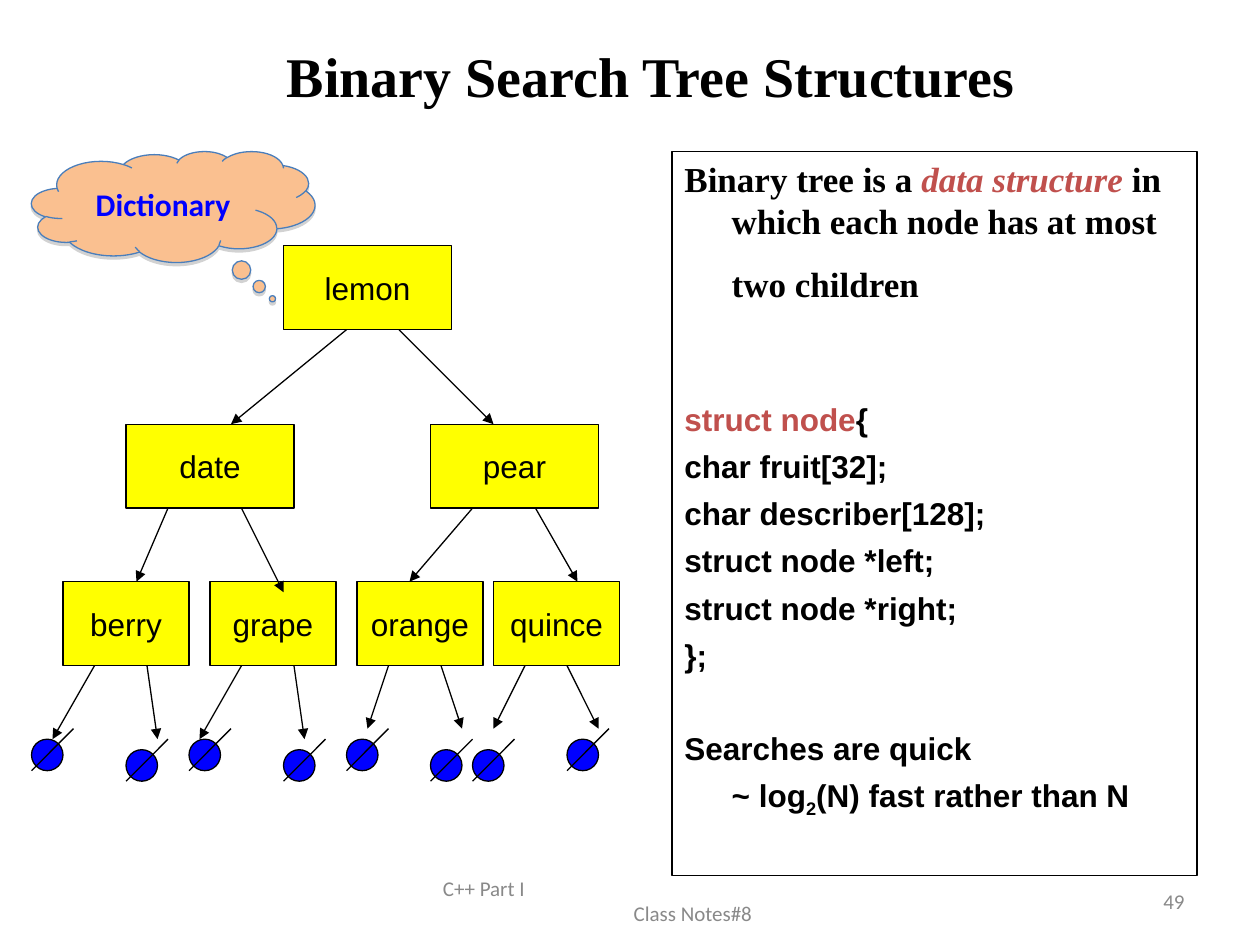
from dataclasses import dataclass
from typing import NamedTuple

from pptx import Presentation
from pptx import util as u
from pptx.dml.color import RGBColor
from pptx.enum import shapes, text
from pptx.oxml import parse_xml
from pptx.oxml.ns import nsdecls, qn

Pt = u.Pt


@dataclass(frozen=True)
class Theme:
    serif: str = "Times New Roman"
    sans: str = "Arial"
    ui: str = "Calibri"
    ink: str = "000000"
    accent: str = "C0504D"
    node: str = "FFFF00"
    blue: str = "0000FF"
    cloud: str = "FAC090"
    cloud_line: str = "4A7EBB"
    muted: str = "898989"
    title: float = 32
    intro: float = 20
    body: float = 18
    small: float = 12
    stroke: float = 0.75


T = Theme()


class Run(NamedTuple):
    words: str
    size: float = T.body
    font: str = T.sans
    color: str = T.ink
    bold: bool = False
    italic: bool = False
    subscript: bool = False


class Node(NamedTuple):
    label: str
    left: float
    top: float
    width: float


class Arrow(NamedTuple):
    x1: float
    y1: float
    x2: float
    y2: float


# Tree levels
NODE_H = 48
ROOT_Y, CHILD_Y, GRAND_Y = 140.4, 242.4, 332.4
LEAF_Y = 422.4
ROOT_END, CHILD_END, GRAND_END = (y + NODE_H for y in (ROOT_Y, CHILD_Y, GRAND_Y))

NODES = [
    Node("lemon", 162, ROOT_Y, 96),
    Node("date", 72, CHILD_Y, 96),
    Node("pear", 246, CHILD_Y, 96),
    Node("berry", 36, GRAND_Y, 72),
    Node("grape", 120, GRAND_Y, 72),
    Node("orange", 204, GRAND_Y, 72),
    Node("quince", 282, GRAND_Y, 72),
]
ARROWS = [
    Arrow(198, ROOT_END, 132, CHILD_Y),
    Arrow(228, ROOT_END, 282, CHILD_Y),
    Arrow(96, CHILD_END, 78, GRAND_Y),
    Arrow(138, CHILD_END, 162, GRAND_Y + 6),
    Arrow(270, CHILD_END, 234, GRAND_Y),
    Arrow(306, CHILD_END, 330, GRAND_Y),
    Arrow(54, GRAND_END, 30, LEAF_Y),
    Arrow(84, GRAND_END, 90, LEAF_Y),
    Arrow(138, GRAND_END, 114, LEAF_Y),
    Arrow(168, GRAND_END, 174, LEAF_Y),
    Arrow(222, GRAND_END, 210, LEAF_Y - 6),
    Arrow(252, GRAND_END, 264, LEAF_Y - 6),
    Arrow(300, GRAND_END, 282, LEAF_Y - 6),
    Arrow(324, GRAND_END, 342, LEAF_Y - 6),
]
# Null pointers: left edge and drop below the leaf line
NULLS = [(18, 0), (72, 6), (108, 0), (162, 6), (198, 0), (246, 6), (270, 6), (324, 0)]


def rgb(code: str) -> RGBColor:
    return RGBColor.from_string(code)


def add_runs(paragraph, *runs: Run) -> None:
    for item in runs:
        run = paragraph.add_run()
        run.text = item.words
        font = run.font
        font.size, font.name = Pt(item.size), item.font
        font.bold, font.italic = item.bold, item.italic
        font.color.rgb = rgb(item.color)
        if item.subscript:
            run._r.get_or_add_rPr().set("baseline", "-25000")


def indent(paragraph, left: float, first: float = 0) -> None:
    props = paragraph._p.get_or_add_pPr()
    props.set("marL", str(Pt(left)))
    props.set("indent", str(Pt(first)))


def add_box(slide, kind, left: float, top: float, width: float, height: float,
            fill: str | None = None, line: str = T.ink):
    box = slide.shapes.add_shape(kind, Pt(left), Pt(top), Pt(width), Pt(height))
    box.shadow.inherit = False
    if fill:
        box.fill.solid()
        box.fill.fore_color.rgb = rgb(fill)
    else:
        box.fill.background()
    box.line.color.rgb = rgb(line)
    box.line.width = Pt(T.stroke)
    return box


def add_label(box, run: Run, wrap: bool) -> None:
    frame = box.text_frame
    frame.word_wrap = wrap
    frame.vertical_anchor = text.MSO_ANCHOR.MIDDLE
    frame.paragraphs[0].alignment = text.PP_ALIGN.CENTER
    add_runs(frame.paragraphs[0], run)


def add_line(slide, ends: Arrow, head: bool = True) -> None:
    line = slide.shapes.add_connector(
        shapes.MSO_CONNECTOR.STRAIGHT, *(Pt(v) for v in ends))
    line.line.color.rgb = rgb(T.ink)
    line.line.width = Pt(T.stroke)
    if head:
        line.line._get_or_add_ln().append(
            parse_xml(f'<a:tailEnd {nsdecls("a")} type="triangle"/>'))
    line._element.spPr.append(parse_xml(f'<a:effectLst {nsdecls("a")}/>'))


def add_null(slide, left: float, top: float) -> None:
    add_box(slide, shapes.MSO_SHAPE.OVAL, left, top, 18, 18, T.blue)
    add_line(slide, Arrow(left + 24, top - 6, left, top + 18), head=False)


def add_title(slide) -> None:
    title = slide.shapes.title
    title.left, title.top, title.width, title.height = Pt(66), Pt(20), Pt(612), Pt(54)
    title.text_frame.vertical_anchor = text.MSO_ANCHOR.TOP
    add_runs(title.text_frame.paragraphs[0],
             Run("Binary Search Tree Structures", T.title, T.serif, bold=True))


def add_explanation(slide) -> None:
    panel = add_box(slide, shapes.MSO_SHAPE.RECTANGLE, 384, 86.4, 300, 414)
    frame = panel.text_frame
    frame.word_wrap = True
    frame.vertical_anchor = text.MSO_ANCHOR.TOP
    intro = Run("Binary tree is a ", T.intro, T.serif, bold=True)
    code = Run("", bold=True)
    hanging, gap = -27, 5.4
    # Each paragraph: space before, first-line indent, runs
    paragraphs = [
        (0, hanging, [intro,
                      intro._replace(words="data structure", color=T.accent, italic=True),
                      intro._replace(words=" in which each node has at most two children"),
                      Run(" ", T.title, T.serif)]),
        (52, hanging, [code._replace(words="struct node", color=T.accent),
                       code._replace(words="{")]),
        *((gap, hanging, [code._replace(words=words)]) for words in (
            "char fruit[32];", "char describer[128];", "struct node *left;",
            "struct node *right;", "};")),
        (31.4, hanging, [code._replace(words="Searches are quick")]),
        (gap, 0, [code._replace(words="~ log"),
                  code._replace(words="2", subscript=True),
                  code._replace(words="(N) fast rather than N")]),
    ]
    for i, (before, first, runs) in enumerate(paragraphs):
        paragraph = frame.add_paragraph() if i else frame.paragraphs[0]
        paragraph.alignment = text.PP_ALIGN.LEFT
        paragraph.space_before = Pt(before)
        indent(paragraph, 27, first)
        add_runs(paragraph, *runs)


def add_cloud(slide) -> None:
    cloud = add_box(slide, shapes.MSO_SHAPE.CLOUD_CALLOUT, 18, 86.4, 162, 63.4,
                    T.cloud, T.cloud_line)
    cloud.adjustments[0], cloud.adjustments[1] = 0.35, 0.83
    cloud._element.spPr.find(qn("a:effectLst")).append(parse_xml(
        f'<a:outerShdw {nsdecls("a")} dist="{Pt(1.8)}" dir="5400000">'
        '<a:srgbClr val="808080"><a:alpha val="35000"/></a:srgbClr></a:outerShdw>'))
    add_label(cloud, Run("Dictionary", T.body, T.ui, T.blue, bold=True), wrap=True)


def add_footer(slide, left: float, width: float, align, *lines: tuple[str, float]) -> None:
    frame = slide.shapes.add_textbox(Pt(left), Pt(500.4), Pt(width), Pt(28.8)).text_frame
    frame.word_wrap = True
    frame.vertical_anchor = text.MSO_ANCHOR.MIDDLE
    for i, (words, margin) in enumerate(lines):
        paragraph = frame.add_paragraph() if i else frame.paragraphs[0]
        paragraph.alignment = align
        indent(paragraph, margin)
        add_runs(paragraph, Run(words, T.small, T.ui, T.muted))


def main() -> None:
    deck = Presentation()
    deck.slide_width, deck.slide_height = Pt(720), Pt(540)
    slide = deck.slides.add_slide(deck.slide_layouts[5])
    add_footer(slide, 246, 228, text.PP_ALIGN.LEFT, ("C++ Part I", 0), ("Class Notes#8", 109))
    add_footer(slide, 516, 168, text.PP_ALIGN.RIGHT, ("49", 0))
    add_title(slide)
    add_explanation(slide)
    # Search tree
    for node in NODES:
        box = add_box(slide, shapes.MSO_SHAPE.RECTANGLE, node.left, node.top,
                      node.width, NODE_H, T.node)
        add_label(box, Run(node.label), wrap=False)
    for arrow in ARROWS:
        add_line(slide, arrow)
    for left, drop in NULLS:
        add_null(slide, left, LEAF_Y + drop)
    add_cloud(slide)
    deck.save("out.pptx")


if __name__ == "__main__":
    main()
